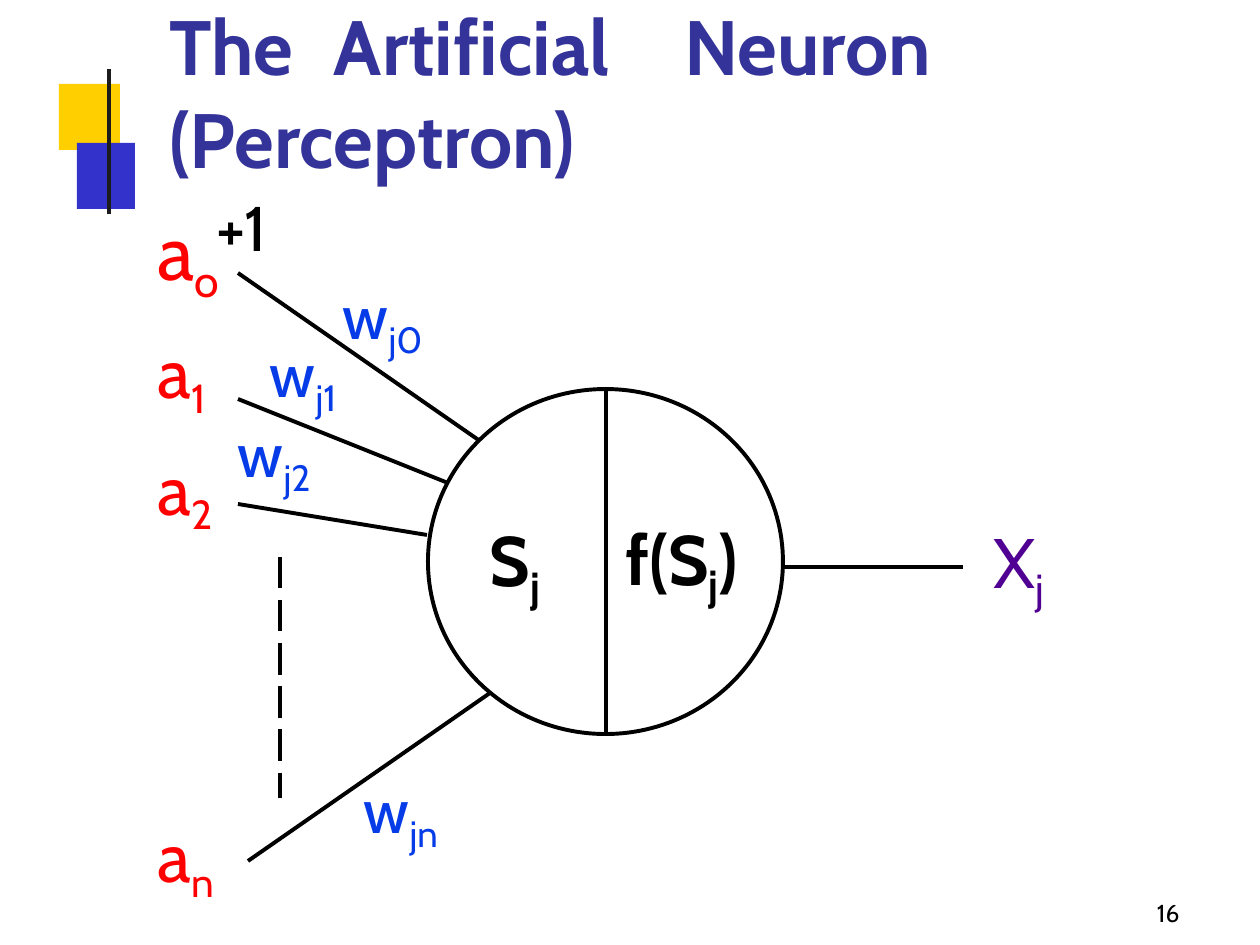
from lxml import etree
from pptx import Presentation
from pptx.dml.color import RGBColor
from pptx.enum.dml import MSO_LINE
from pptx.enum.shapes import MSO_CONNECTOR, MSO_SHAPE
from pptx.oxml.ns import qn
from pptx.util import Emu, Pt

RECT = MSO_SHAPE.RECTANGLE
OVAL = MSO_SHAPE.OVAL
STRAIGHT = MSO_CONNECTOR.STRAIGHT
DASH = MSO_LINE.LONG_DASH
FONT = "Cabin"
ASCENT = 0.965
BLACK, RED, BLUE, PURPLE, NAVY = "000000", "FF0000", "053CE8", "500092", "333399"


def px(n):
    return Emu(round(n * 914400 / 126))


def color(code):
    return RGBColor.from_string(code)


def add_form(slide, kind, x, y, w, h, fill=None):
    form = slide.shapes.add_shape(kind, px(x), px(y), px(w), px(h))
    form.shadow.inherit = False
    if fill:
        form.fill.solid()
        form.fill.fore_color.rgb = color(fill)
        form.line.fill.background()
    else:
        form.fill.background()
        form.line.color.rgb = color(BLACK)
        form.line.width = Pt(2.25)


def add_line(slide, x1, y1, x2, y2, code=BLACK, width=2.25, dash=None):
    line = slide.shapes.add_connector(STRAIGHT, px(x1), px(y1), px(x2), px(y2))
    line.line.color.rgb = color(code)
    line.line.width = Pt(width)
    if dash:
        line.line.dash_style = dash
    etree.SubElement(line._element.spPr, qn("a:effectLst"))


def add_box(slide, x, base, width, size, lines=1):
    top = base - round(size * 1.75 * ASCENT)
    height = round(size * 1.75 * 1.22 * lines)
    box = slide.shapes.add_textbox(px(x), px(top), px(width), px(height))
    frame = box.text_frame
    frame.word_wrap = True
    frame.margin_left = frame.margin_right = 0
    frame.margin_top = frame.margin_bottom = 0
    return frame


def style(run, size, code, bold=False):
    run.font.name = FONT
    run.font.size = Pt(size)
    run.font.bold = bold
    run.font.color.rgb = color(code)


def add_label(slide, parts, x, base, size, code, bold=False, width=100):
    para = add_box(slide, x, base, width, size).paragraphs[0]
    for i, part in enumerate(parts):
        run = para.add_run()
        run.text = part
        style(run, size, code, bold)
        if i == 1:
            run.font._element.set("baseline", "-21000")


def add_title(slide, text, x, base, stops):
    frame = add_box(slide, x, base, 900, 44, 2)
    frame.text = text
    for para in frame.paragraphs:
        tabs = etree.SubElement(para._p.get_or_add_pPr(), qn("a:tabLst"))
        for stop in stops:
            etree.SubElement(tabs, qn("a:tab"), pos=str(px(stop)), algn="l")
        for run in para.runs:
            style(run, 44, NAVY, True)


def main():
    deck = Presentation()
    deck.slide_width, deck.slide_height = px(1260), px(945)
    slide = deck.slides.add_slide(deck.slide_layouts[6])

    add_form(slide, RECT, 59, 84, 61, 66, "FFCF00")
    add_form(slide, RECT, 77, 143, 58, 66, "3333CC")
    add_line(slide, 109, 69, 109, 214, "1C1C1C", 2.62)
    add_title(slide, "The\tArtificial\tNeuron\n(Perceptron)", 169, 73, (165, 515))

    add_form(slide, OVAL, 428, 389, 355, 345)
    add_line(slide, 606, 734, 606, 389)
    add_line(slide, 784, 567, 963, 567)
    add_line(slide, 280, 557, 280, 798, dash=DASH)
    for ends in (
        (480, 441, 238, 273),
        (448, 483, 238, 399),
        (427, 535, 238, 504),
        (490, 693, 248, 861),
    ):
        add_line(slide, *ends)

    for sub, base, size in (("o", 278, 44), ("1", 397, 40), ("2", 513, 40), ("n", 881, 40)):
        add_label(slide, ("a", sub), 158, base, size, RED)
    for sub, x, base in (("j0", 343, 338), ("j1", 270, 396), ("j2", 238, 476), ("jn", 364, 832)):
        add_label(slide, ("w", sub), x, base, 36, BLUE)
    add_label(slide, ("+1",), 217, 250, 36, BLACK)
    add_label(slide, ("S", "j"), 490, 585, 40, BLACK, True)
    add_label(slide, ("f(S", "j", ")"), 626, 583, 40, BLACK, True, 150)
    add_label(slide, ("X", "j"), 994, 587, 40, PURPLE)
    add_label(slide, ("16",), 1157, 922, 14, BLACK, width=40)
    deck.save("out.pptx")


if __name__ == "__main__":
    main()
